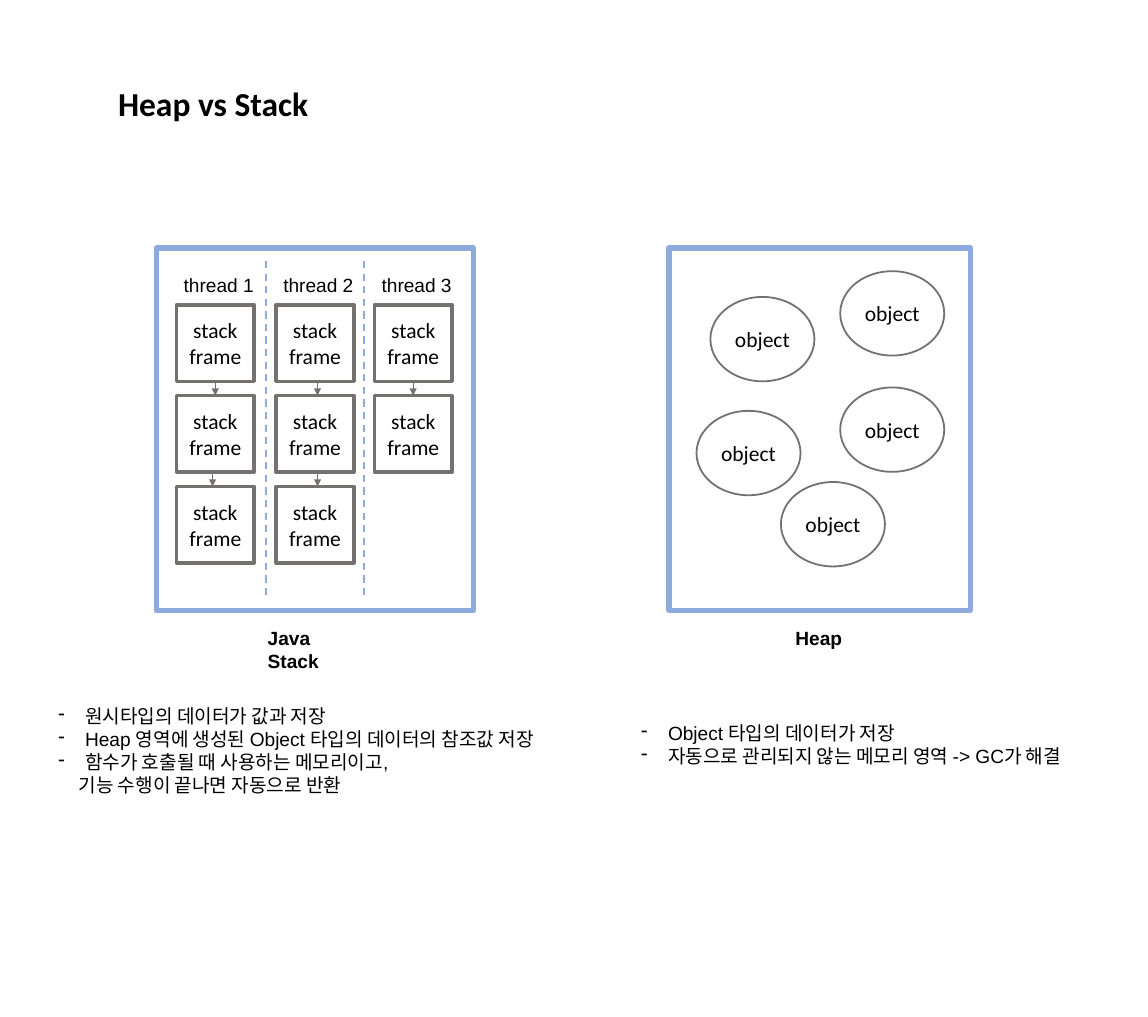
from lxml.etree import SubElement
from pptx import Presentation
from pptx.dml.color import RGBColor
from pptx.enum.dml import MSO_LINE
from pptx.enum.shapes import MSO_CONNECTOR, MSO_SHAPE as SHAPE
from pptx.enum.text import MSO_ANCHOR as ANCHOR, PP_ALIGN as ALIGN
from pptx.oxml.ns import qn
from pptx.util import Cm, Pt

COLORS = {"border": "8FAADC", "outline": "767171", "text": "000000"}

deck = Presentation()
deck.slide_width, deck.slide_height = Cm(33.87), Cm(30)
page = deck.slides.add_slide(deck.slide_layouts[5])
shapes = page.shapes


def write(box, lines, align=ALIGN.LEFT, anchor=ANCHOR.TOP, **font):
    """Fill a box with one paragraph per line and return the paragraphs."""
    frame = box.text_frame
    frame.word_wrap = True
    frame.vertical_anchor = anchor
    frame.text = "\n".join(lines)
    style = {"name": "Arial", "size": Pt(16), "bold": False} | font
    for para in frame.paragraphs:
        para.alignment = align
        for span in para.runs:
            for key, value in style.items():
                setattr(span.font, key, value)
            span.font.color.rgb = RGBColor.from_string(COLORS["text"])
    return frame.paragraphs


def add_outline(kind, place, color, width, lines=()):
    """Add an unfilled shape with optional centred text."""
    shape = shapes.add_shape(kind, *map(Cm, place))
    shape.shadow.inherit = False
    shape.fill.background()
    shape.line.color.rgb = RGBColor.from_string(COLORS[color])
    shape.line.width = Pt(width)
    if lines:
        shape.text_frame.margin_left = shape.text_frame.margin_right = 0
        write(shape, lines, ALIGN.CENTER, ANCHOR.MIDDLE, name="Calibri", size=Pt(18))


# Title
title = shapes.title
title.left, title.top, title.width, title.height = map(Cm, (3.23, 2.31, 6.6, 1.45))
write(title, ["Heap vs Stack"], name="Calibri", size=Pt(28), bold=True)

# Memory areas and their captions
for left, width in ((4.62, 9.35), (19.74, 8.89)):
    add_outline(SHAPE.RECTANGLE, (left, 7.32, width, 10.69), "border", 4.5)
for caption, left, width in (("Java Stack", 7.65, 3.3), ("Heap", 23.22, 2.2)):
    box = shapes.add_textbox(Cm(left), Cm(18.36), Cm(width), Cm(0.94))
    write(box, [caption], bold=True)

# Stack frames: left edge of each thread and the x of the arrows between its frames
THREADS = [(5.21, [6.35, 6.27]), (8.15, [9.37, 9.37]), (11.05, [12.19])]
FRAME_TOP, FRAME_STEP, FRAME_WIDTH, FRAME_HEIGHT = 8.99, 2.68, 2.29, 2.26
lines = [(x, 7.7, 17.65, "border", 1.5) for x in (7.85, 10.74)]
for number, (left, arrows) in enumerate(THREADS, 1):
    label = shapes.add_textbox(Cm(left - 0.04), Cm(7.95), Cm(2.8), Cm(0.94))
    write(label, [f"thread {number}"])
    for row in range(len(arrows) + 1):
        place = (left, FRAME_TOP + row * FRAME_STEP, FRAME_WIDTH, FRAME_HEIGHT)
        add_outline(SHAPE.RECTANGLE, place, "outline", 3, ["stack", "frame"])
    for row, x in enumerate(arrows):
        top = FRAME_TOP + row * FRAME_STEP
        lines.append((x, top + FRAME_HEIGHT, top + FRAME_STEP, "outline", 0.5))

# Dashed dividers between threads, arrows between frames
for x, top, bottom, color, width in lines:
    link = shapes.add_connector(MSO_CONNECTOR.STRAIGHT, Cm(x), Cm(top), Cm(x), Cm(bottom))
    link.line.color.rgb = RGBColor.from_string(COLORS[color])
    link.line.width = Pt(width)
    if color == "border":
        link.line.dash_style = MSO_LINE.DASH
    else:
        SubElement(link.line._get_or_add_ln(), qn("a:tailEnd"), type="triangle")
    SubElement(link._element.spPr, qn("a:effectLst"))

# Heap objects
for left, top in ((20.96, 8.76), (24.79, 8), (20.55, 12.12), (24.79, 11.43), (23.04, 14.22)):
    add_outline(SHAPE.OVAL, (left, top, 3.07, 2.49), "outline", 1.5, ["object"])

# Notes under each area; the continuation line carries no bullet
CONTINUATION = "기능 수행이 끝나면 자동으로 반환"
NOTES = [
    ((1.47, 20.65, 16.03, 3), [
        "원시타입의 데이터가 값과 저장",
        "Heap 영역에 생성된 Object 타입의 데이터의 참조값 저장",
        "함수가 호출될 때 사용하는 메모리이고,",
        CONTINUATION,
    ]),
    ((18.67, 21.16, 14.38, 1.63), [
        "Object 타입의 데이터가 저장",
        "자동으로 관리되지 않는 메모리 영역 -> GC가 해결",
    ]),
]
for place, notes in NOTES:
    box = shapes.add_textbox(*map(Cm, place))
    for para in write(box, notes):
        props = para._p.get_or_add_pPr()
        if para.text == CONTINUATION:
            props.set("marL", str(Cm(0.6)))
        else:
            props.set("marL", str(Cm(0.79)))
            props.set("indent", str(Cm(-0.79)))
            SubElement(props, qn("a:buChar"), char="-")

deck.save("out.pptx")
